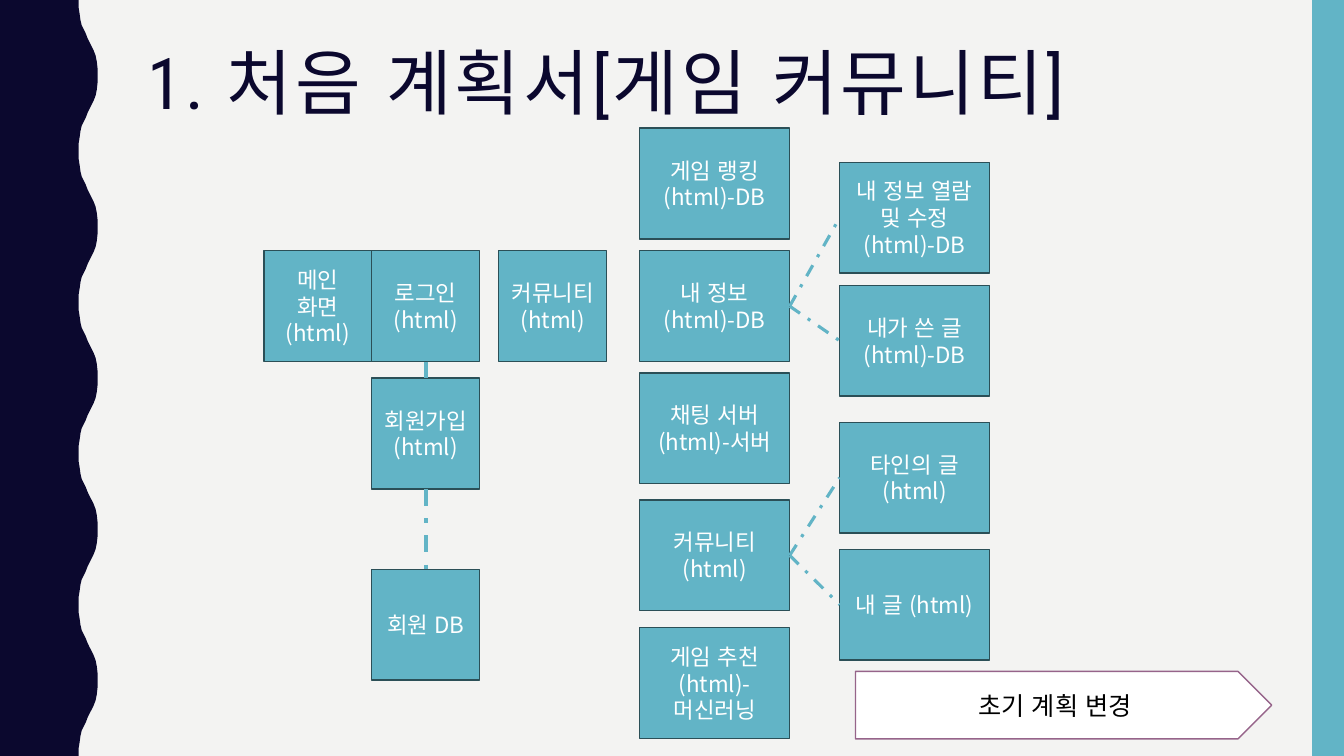
from dataclasses import dataclass

from lxml import etree
from pptx import Presentation
from pptx.dml.color import RGBColor
from pptx.enum.dml import MSO_LINE
from pptx.enum.lang import MSO_LANGUAGE_ID
from pptx.enum.shapes import MSO_CONNECTOR, MSO_SHAPE
from pptx.enum.text import MSO_ANCHOR, PP_ALIGN
from pptx.oxml.ns import qn
from pptx.util import Cm, Pt

RECTANGLE = MSO_SHAPE.RECTANGLE
PENTAGON = MSO_SHAPE.PENTAGON
STRAIGHT = MSO_CONNECTOR.STRAIGHT
DASH_DOT = MSO_LINE.DASH_DOT
KOREAN = MSO_LANGUAGE_ID.KOREAN
MIDDLE = MSO_ANCHOR.MIDDLE
CENTER = PP_ALIGN.CENTER
TOP, LEFT, BOTTOM, RIGHT = range(4)


@dataclass(frozen=True)
class Theme:
    paper: str = "F3F3F2"
    navy: str = "0B082E"
    teal: str = "62B4C6"
    outline: str = "2B4F57"
    plum: str = "96648A"
    white: str = "FFFFFF"
    black: str = "000000"
    title_font: str = "Roboto Condensed"
    note_font: str = "Arial"
    box_font: str = "Noto Sans CJK KR"
    title_size: int = 51
    note_size: int = 18
    box_size: int = 16


THEME = Theme()
PAGE_WIDTH, PAGE_HEIGHT = 33.87, 19.05
BOX_HEIGHT = 2.79
NARROW, WIDE = 2.72, 3.78

# Half of one wave, as (distance down, edge) in centimetres
HALF_WAVE = [
    (0, 1.98), (0.18, 1.98), (0.36, 2.01), (0.51, 2.03), (0.64, 2.06),
    (0.74, 2.11), (0.84, 2.16), (0.97, 2.21), (1.07, 2.26), (1.17, 2.31),
    (1.27, 2.36), (1.4, 2.41), (1.55, 2.44), (1.73, 2.46), (1.9, 2.46),
]
WAVE_COUNT = 5
WAVE_LENGTH = PAGE_HEIGHT / WAVE_COUNT

# Each column: left, width, then (name, top, lines of text)
COLUMNS = [
    (6.65, NARROW, [("main", 6.32, ["메인", "화면", "(html)"])]),
    (9.37, NARROW, [
        ("login", 6.32, ["로그인", "(html)"]),
        ("join", 9.53, ["회원가입", "(html)"]),
        ("member_db", 14.35, ["회원 DB"]),
    ]),
    (12.57, NARROW, [("community", 6.32, ["커뮤니티", "(html)"])]),
    (16.12, WIDE, [
        ("ranking", 3.23, ["게임 랭킹", "(html)-DB"]),
        ("my_info", 6.32, ["내 정보", "(html)-DB"]),
        ("chat", 9.4, ["채팅 서버", "(html)-서버"]),
        ("board", 12.6, ["커뮤니티 (html)"]),
        ("recommend", 15.82, ["게임 추천", "(html)-머신러닝"]),
    ]),
    (21.16, WIDE, [
        ("edit_info", 4.09, ["내 정보 열람 및 수정", "(html)-DB"]),
        ("written", 7.19, ["내가 쓴 글", "(html)-DB"]),
        ("others", 10.64, ["타인의 글", "(html)"]),
        ("mine", 13.84, ["내 글 (html)"]),
    ]),
]

# From, side, to, side, line width
LINKS = [
    ("login", BOTTOM, "join", TOP, 3),
    ("join", BOTTOM, "member_db", TOP, 3),
    ("my_info", RIGHT, "edit_info", LEFT, 2.25),
    ("my_info", RIGHT, "written", LEFT, 2.25),
    ("board", RIGHT, "others", LEFT, 2.25),
    ("board", RIGHT, "mine", LEFT, 2.25),
]


def colour(code):
    return RGBColor.from_string(code)


def paint(shape, fill, line=None):
    shape.shadow.inherit = False
    shape.fill.solid()
    shape.fill.fore_color.rgb = colour(fill)
    if line:
        shape.line.color.rgb = colour(line)
        shape.line.width = Pt(1)
    else:
        shape.line.fill.background()


def add_span(para, text, font, size, code):
    span = para.add_run()
    span.text = text
    span.font.size = Pt(size)
    span.font.color.rgb = colour(code)
    span.font.name = font
    span.font.language_id = KOREAN
    properties = span.font._element
    east_asian = etree.SubElement(properties, qn("a:ea"))
    east_asian.set("typeface", THEME.box_font)
    return span


def add_panel(page, kind, place, fill, line=None):
    panel = page.shapes.add_shape(kind, *[Cm(length) for length in place])
    paint(panel, fill, line)
    return panel


def write_centred(shape, lines, font, size, code):
    frame = shape.text_frame
    frame.word_wrap = True
    frame.vertical_anchor = MIDDLE
    for index, line in enumerate(lines):
        para = frame.add_paragraph() if index else frame.paragraphs[0]
        para.alignment = CENTER
        add_span(para, line, font, size, code)


def add_box(page, left, top, width, lines):
    box = add_panel(page, RECTANGLE, (left, top, width, BOX_HEIGHT),
                    THEME.teal, THEME.outline)
    write_centred(box, lines, THEME.box_font, THEME.box_size, THEME.white)
    return box


def add_link(page, start, start_side, end, end_side, width):
    link = page.shapes.add_connector(STRAIGHT, 0, 0, 0, 0)
    link.begin_connect(start, start_side)
    link.end_connect(end, end_side)
    link.line.color.rgb = colour(THEME.teal)
    link.line.width = Pt(width)
    link.line.dash_style = DASH_DOT
    etree.SubElement(link._element.spPr, qn("a:effectLst"))


def add_wave(page):
    mirrored = [(WAVE_LENGTH - down, edge) for down, edge in HALF_WAVE[::-1]]
    points = [
        (Cm(edge), Cm(number * WAVE_LENGTH + down))
        for number in range(WAVE_COUNT)
        for down, edge in HALF_WAVE + mirrored
    ]
    points.append((0, Cm(PAGE_HEIGHT)))
    builder = page.shapes.build_freeform(0, 0)
    builder.add_line_segments(points, close=True)
    paint(builder.convert_to_shape(), THEME.navy)


def add_title(page, text):
    box = page.shapes.add_textbox(Cm(3.48), Cm(1.07), Cm(28.27), Cm(4.14))
    box.text_frame.word_wrap = True
    para = box.text_frame.paragraphs[0]
    para.line_spacing = 0.9
    span = add_span(para, text, THEME.title_font, THEME.title_size, THEME.navy)
    span.font._element.set("spc", "200")


def main():
    deck = Presentation()
    deck.slide_width, deck.slide_height = Cm(PAGE_WIDTH), Cm(PAGE_HEIGHT)
    page = deck.slides.add_slide(deck.slide_layouts[6])
    page.background.fill.solid()
    page.background.fill.fore_color.rgb = colour(THEME.paper)

    # Side decoration
    add_wave(page)
    add_panel(page, RECTANGLE, (33.07, 0, 0.8, PAGE_HEIGHT), THEME.teal)

    # Note and title
    note = add_panel(page, PENTAGON, (21.56, 16.92, 10.49, 1.7),
                     THEME.white, THEME.plum)
    write_centred(note, ["초기 계획 변경"], THEME.note_font,
                  THEME.note_size, THEME.black)
    add_title(page, "1. 처음 계획서[게임 커뮤니티]")

    # Site map
    boxes = {}
    for left, width, entries in COLUMNS:
        for name, top, lines in entries:
            boxes[name] = add_box(page, left, top, width, lines)
    for start, start_side, end, end_side, width in LINKS:
        add_link(page, boxes[start], start_side, boxes[end], end_side, width)

    deck.save("out.pptx")


if __name__ == "__main__":
    main()
